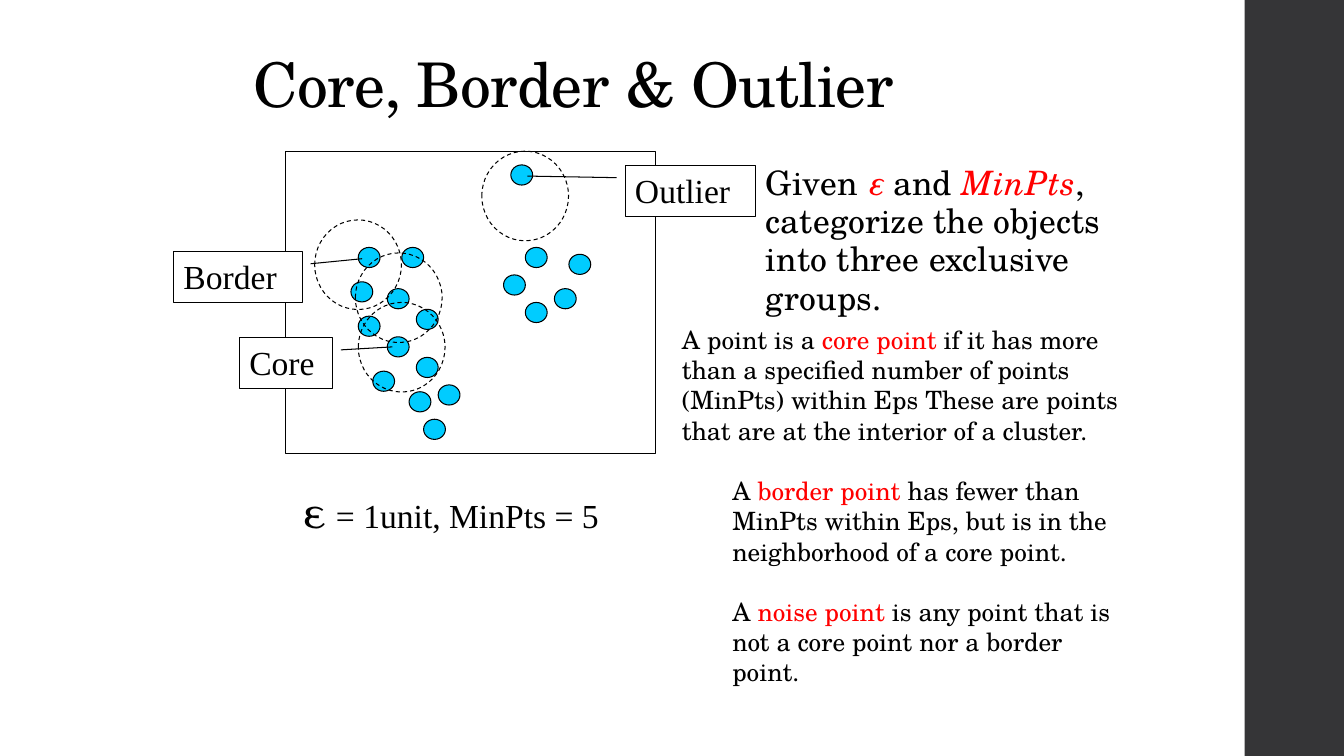
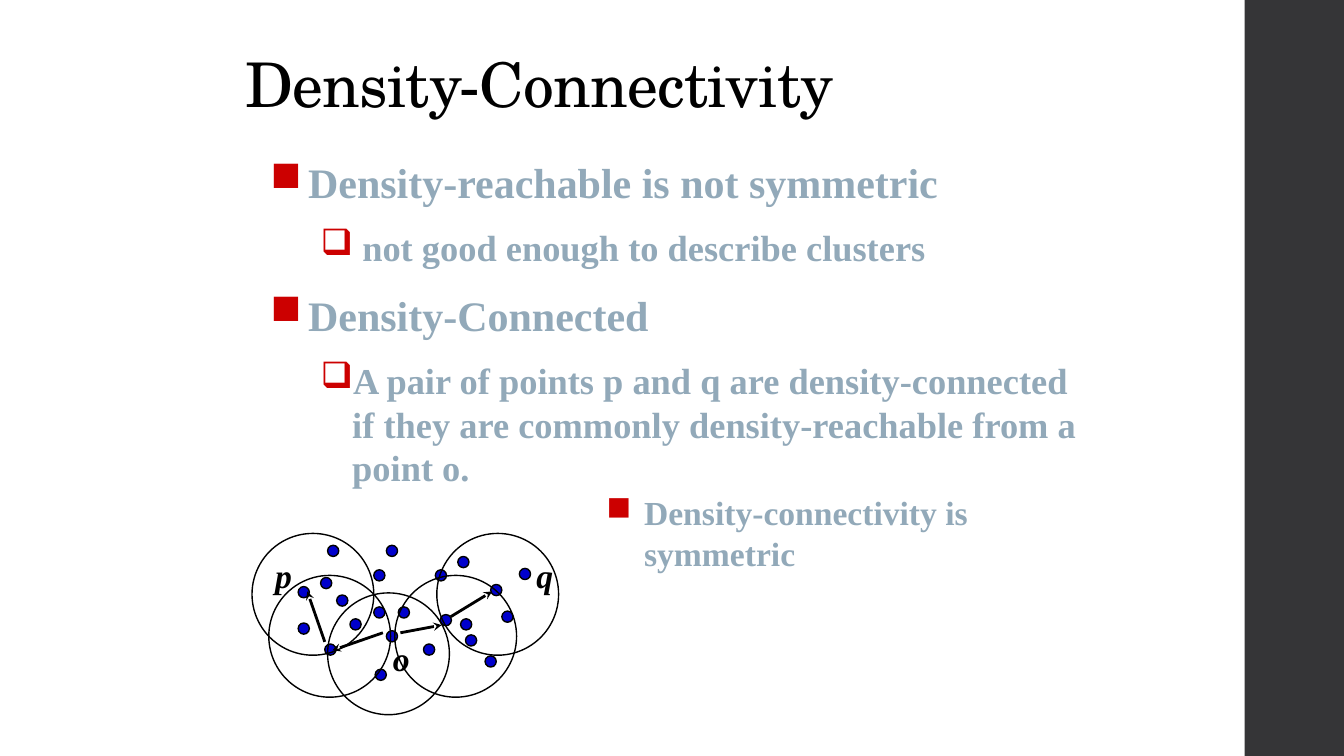
from dataclasses import dataclass

from lxml import etree
from pptx import Presentation
from pptx.dml.color import RGBColor
from pptx.enum.dml import MSO_LINE
from pptx.enum.shapes import MSO_CONNECTOR, MSO_SHAPE
from pptx.enum.text import MSO_ANCHOR, PP_ALIGN
from pptx.oxml.ns import qn
from pptx.util import Pt

RECT, OVAL, CALLOUT = MSO_SHAPE.RECTANGLE, MSO_SHAPE.OVAL, MSO_SHAPE.LINE_CALLOUT_1
STRAIGHT, DASH = MSO_CONNECTOR.STRAIGHT, MSO_LINE.DASH
TOP, BOTTOM, LEFT = MSO_ANCHOR.TOP, MSO_ANCHOR.BOTTOM, PP_ALIGN.LEFT


@dataclass(frozen=True)
class Theme:
    black: str = "000000"
    white: str = "FFFFFF"
    band: str = "353537"
    red: str = "FF0000"
    bullet: str = "CC0000"
    cyan: str = "00CCFF"
    blue: str = "0000CC"
    muted: str = "92A9B9"
    schola: str = "TeX Gyre Schola"
    times: str = "Times New Roman"
    title: int = 44
    epsilon: int = 32
    bullet1: int = 30
    bullet2: int = 26
    body: int = 24
    small: int = 18


T = Theme()


def add_shape(shapes, kind, box, fill=None, line=T.black, width=0.75):
    sp = shapes.add_shape(kind, *map(Pt, box))
    sp.shadow.inherit = False
    if fill:
        sp.fill.solid()
        sp.fill.fore_color.rgb = RGBColor.from_string(fill)
    else:
        sp.fill.background()
    if line:
        sp.line.color.rgb = RGBColor.from_string(line)
        sp.line.width = Pt(width)
    else:
        sp.line.fill.background()
    return sp


def write(sp, paragraphs, anchor=TOP, **style):
    """Fill sp with paragraphs, each a list of (text, changes to style) runs."""
    tf = sp.text_frame
    tf.word_wrap = True
    tf.vertical_anchor = anchor
    for i, runs in enumerate(paragraphs):
        p = tf.add_paragraph() if i else tf.paragraphs[0]
        p.alignment = LEFT
        for text, changes in runs:
            look = {"font": T.schola, "size": T.body, "color": T.black, **style, **changes}
            r = p.add_run()
            r.text = text
            r.font.name = look["font"]
            r.font.size = Pt(look["size"])
            r.font.color.rgb = RGBColor.from_string(look["color"])
            r.font.bold = look.get("bold", False)
            r.font.italic = look.get("italic", False)
            if "spacing" in look:
                r.font._element.set("spc", str(look["spacing"]))
    return tf


prs = Presentation()
prs.slide_width, prs.slide_height = Pt(960), Pt(540)

slides = []
for left, title in [(174, "Core, Border & Outlier"), (168, "Density-Connectivity")]:
    s = prs.slides.add_slide(prs.slide_layouts[6])
    add_shape(s.shapes, RECT, (889, 0, 71, 540), T.band, None)
    sp = s.shapes.add_textbox(Pt(left), 0, Pt(612), Pt(90))
    tf = write(sp, [[(title, {})]], BOTTOM, size=T.title, spacing=-50)
    tf.paragraphs[0].line_spacing = 0.9
    slides.append(s)
core_slide, connect_slide = slides

# Core, border and outlier points
shapes = core_slide.shapes
RED = {"color": T.red}
RED_ITALIC = {"color": T.red, "italic": True}

sp = shapes.add_textbox(Pt(540), Pt(114), Pt(288), Pt(126))
tf = write(sp, [[("Given ", {}), ("ε", RED_ITALIC), (" and ", {}), ("MinPts", RED_ITALIC),
                 (", categorize the objects into three exclusive groups.", {})]], spacing=10)
tf.paragraphs[0].line_spacing = 0.95

sp = shapes.add_textbox(Pt(210), Pt(342), Pt(228), Pt(45))
write(sp, [[("ε", {"size": T.epsilon}), (" = 1unit, MinPts = 5", {"font": T.times})]])

# The plot is a lattice: points and neighbourhoods sit at (column, row)
PLOT_X, PLOT_Y, STEP_X, STEP_Y = 204, 108, 5.19, 4.91
POINTS = [(10, 14), (9, 19), (14, 20), (16, 14), (18, 23), (10, 24), (14, 27), (12, 32),
          (17, 35), (19, 39), (18, 30), (21, 34),
          (31, 2), (33, 14), (30, 18), (37, 20), (39, 15), (33, 22)]
NEIGHBOURHOODS = [(4, 10), (10, 22), (27, 0), (9.6, 14.8)]

for col, row in POINTS:
    add_shape(shapes, OVAL, (PLOT_X + col * STEP_X, PLOT_Y + row * STEP_Y, 15.6, 14.4), T.cyan)
add_shape(shapes, RECT, (PLOT_X, PLOT_Y, 264, 216))
for col, row in NEIGHBOURHOODS:
    sp = add_shape(shapes, OVAL, (PLOT_X + col * STEP_X, PLOT_Y + row * STEP_Y, 62, 64))
    sp.line.dash_style = DASH

for label, box, leader in [
    ("Core", (171, 241, 66.5, 36.5), (0.245, 1.09, 0.187, 1.644)),
    ("Border", (124, 179.5, 92, 36.5), (0.245, 1.065, 0.146, 1.464)),
    ("Outlier", (446.5, 118, 93.5, 36.5), (0.245, -0.064, 0.214, -0.747)),
]:
    sp = add_shape(shapes, CALLOUT, box, T.white)
    for i, value in enumerate(leader):
        sp.adjustments[i] = value
    write(sp, [[(label, {})]], font=T.times)

sp = shapes.add_textbox(Pt(480), Pt(228), Pt(336), Pt(245))
tf = write(sp, [
    [("A point is a ", {}), ("core point", RED),
     (" if it has more than a specified number of points (MinPts) within Eps "
      "These are points that are at the interior of a cluster.", {})],
    [("A ", {}), ("border point", RED),
     (" has fewer than MinPts within Eps, but is in the neighborhood of a core point.", {})],
    [("A ", {}), ("noise point", RED),
     (" is any point that is not a core point nor a border point.", {})],
], size=T.small)
for p in tf.paragraphs[1:]:
    p.space_before = Pt(21.6)
    p._p.get_or_add_pPr().set("marL", str(Pt(36)))

# Density-connectivity
shapes = connect_slide.shapes
MAIN = (T.bullet1, "■", 27, 27, 50)
SUB = (T.bullet2, "❑", 58.5, 22.5, 50)
SIDE = (T.body, "■", 27, 27, 20)
for box, items in [
    ((186, 108, 603, 324), [
        (MAIN, "Density-reachable is not symmetric"),
        (SUB, " not good enough to describe clusters"),
        (MAIN, "Density-Connected"),
        (SUB, "A pair of points p and q are density-connected if they are commonly "
              "density-reachable from a point o."),
    ]),
    ((426, 348, 360, 90), [(SIDE, "Density-connectivity is symmetric")]),
]:
    sp = shapes.add_textbox(*map(Pt, box))
    tf = write(sp, [[(text, {"size": level[0]})] for level, text in items],
               font=T.times, color=T.muted, bold=True)
    for p, (level, text) in zip(tf.paragraphs, items):
        size, char, margin, hang, before = level
        pPr = p._p.get_or_add_pPr()
        pPr.set("marL", str(Pt(margin)))
        pPr.set("indent", str(-Pt(hang)))
        spacing = etree.SubElement(pPr, qn("a:spcBef"))
        etree.SubElement(spacing, qn("a:spcPct")).set("val", str(before * 1000))
        color = etree.SubElement(pPr, qn("a:buClr"))
        etree.SubElement(color, qn("a:srgbClr")).set("val", T.bullet)
        etree.SubElement(pPr, qn("a:buChar")).set("char", char)

DOTS = [(240.5, 425), (267, 433.5), (267, 407), (232, 460), (250, 442), (268, 478),
        (276, 450.5), (276, 389.5), (329, 442), (311, 407), (213, 445), (284.5, 433.5),
        (302.5, 460), (346.5, 468.5), (358.5, 436.5), (314.5, 439), (332.5, 453.5),
        (371, 406), (327, 397.5), (350.5, 417.5), (229, 412.5), (213, 419), (234, 389.5)]
CIRCLES = [(180, 381), (192, 411), (234, 423.5), (282, 411), (312, 381)]
ARROWS = [(273.5, 452, 237.5, 464.5), (286, 452, 315.5, 446.5),
          (232, 458.5, 219.5, 422.5), (322, 440.5, 351.5, 422.5)]
LABELS = [("p", 189.5, 392.5), ("q", 376, 392.5), ("o", 273.5, 452)]

diagram = shapes.add_group_shape().shapes
for x, y in DOTS:
    add_shape(diagram, OVAL, (x, y, 8, 8), T.blue, width=1)
for x, y in CIRCLES:
    add_shape(diagram, OVAL, (x, y, 87, 87), width=1)
for ends in ARROWS:
    arrow = diagram.add_connector(STRAIGHT, *map(Pt, ends))
    arrow.line.color.rgb = RGBColor.from_string(T.black)
    arrow.line.width = Pt(2)
    spPr = arrow._element.spPr
    etree.SubElement(spPr.find(qn("a:ln")), qn("a:tailEnd")).set("type", "stealth")
    etree.SubElement(spPr, qn("a:effectLst"))
for label, x, y in LABELS:
    sp = diagram.add_textbox(Pt(x), Pt(y), Pt(30), Pt(36.5))
    write(sp, [[(label, {})]], font=T.times, bold=True, italic=True)

prs.save("out.pptx")
